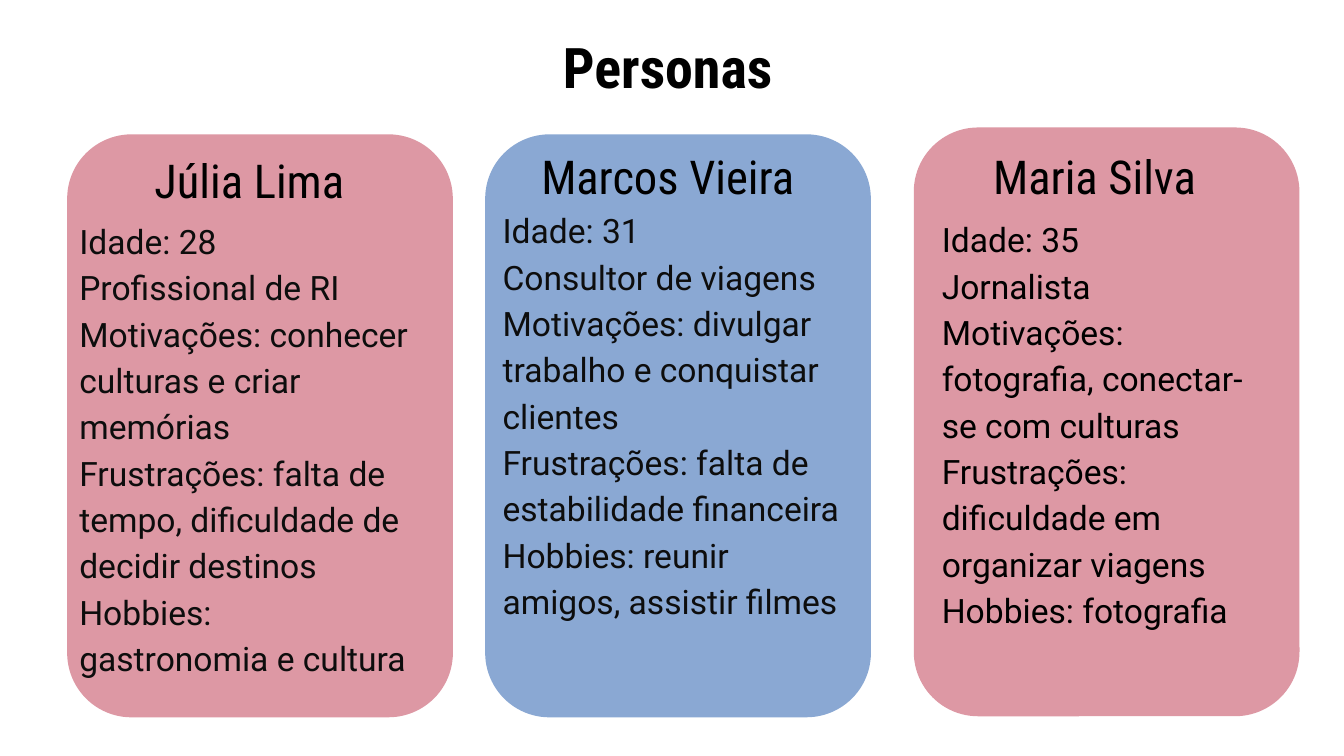
"""Build the slide that introduces three personas."""
from dataclasses import dataclass

from pptx import Presentation
from pptx.dml.color import RGBColor
from pptx.enum.shapes import MSO_SHAPE
from pptx.enum.text import MSO_ANCHOR, PP_ALIGN
from pptx.slide import Slide
from pptx.util import Cm, Pt

COLOURS = {"black": "000000", "ink": "0D0D0D", "rose": "DD98A4", "blue": "8AA8D3"}
HEADING_FONT = "Roboto Condensed"
BODY_FONT = "Roboto"
INSET = 0.25


@dataclass(frozen=True)
class Area:
    """Hold a place on the slide in centimetres."""
    left: float
    top: float
    width: float
    height: float

    def lengths(self) -> tuple[Cm, Cm, Cm, Cm]:
        """Return the place as slide lengths."""
        return Cm(self.left), Cm(self.top), Cm(self.width), Cm(self.height)


@dataclass(frozen=True)
class Persona:
    """Describe one card with its name and its facts."""
    name: str
    facts: tuple[str, ...]
    fill: str
    ink: str
    card: Area
    name_area: Area
    facts_area: Area
    indent: float


PERSONAS = (
    Persona(
        "Júlia Lima",
        ("Idade: 28", "Profissional de RI",
         "Motivações: conhecer culturas e criar memórias",
         "Frustrações: falta de tempo, dificuldade de decidir destinos",
         "Hobbies: gastronomia e cultura"),
        "rose", "ink", Area(1.27, 2.54, 7.29, 11.02),
        Area(2.67, 2.62, 4.88, 1.57), Area(0, 3.81, 7.98, 9.88), 1.5,
    ),
    Persona(
        "Marcos Vieira",
        ("Idade: 31", "Consultor de viagens",
         "Motivações: divulgar trabalho e conquistar clientes",
         "Frustrações: falta de estabilidade financeira",
         "Hobbies: reunir amigos, assistir filmes"),
        "blue", "ink", Area(9.17, 2.54, 7.29, 11.02),
        Area(9.98, 2.54, 6.07, 1.57), Area(7.98, 3.61, 8.31, 9.25), 1.52,
    ),
    Persona(
        "Maria Silva",
        ("Idade: 35", "Jornalista",
         "Motivações: fotografia, conectar-se com culturas",
         "Frustrações: dificuldade em organizar viagens",
         "Hobbies: fotografia"),
        "rose", "black", Area(17.27, 2.41, 7.29, 11.13),
        Area(18.52, 2.54, 5.61, 1.57), Area(15.01, 3.78, 9.35, 9.96), 2.79,
    ),
)


def add_text(page: Slide, lines: tuple[str, ...], area: Area, *, size: float,
             font: str = HEADING_FONT, colour: str = "black", bold: bool = False,
             align: PP_ALIGN = PP_ALIGN.LEFT, anchor: MSO_ANCHOR = MSO_ANCHOR.TOP,
             spacing: float = 1.0, indent: float = INSET) -> None:
    """Add a text box with one paragraph per line."""
    box = page.shapes.add_textbox(*area.lengths())
    frame = box.text_frame
    frame.word_wrap = True
    frame.vertical_anchor = anchor
    frame.margin_left = Cm(indent)
    frame.margin_right = frame.margin_top = frame.margin_bottom = Cm(INSET)
    for index, line in enumerate(lines):
        para = frame.add_paragraph() if index else frame.paragraphs[0]
        para.alignment = align
        para.line_spacing = spacing
        span = para.add_run()
        span.text = line
        span.font.name = font
        span.font.size = Pt(size)
        span.font.bold = bold
        span.font.color.rgb = RGBColor.from_string(COLOURS[colour])


def add_persona(page: Slide, persona: Persona) -> None:
    """Draw the card, the name and the facts of a persona."""
    card = page.shapes.add_shape(MSO_SHAPE.ROUNDED_RECTANGLE, *persona.card.lengths())
    card.adjustments[0] = 0.167
    card.shadow.inherit = False
    card.fill.solid()
    card.fill.fore_color.rgb = RGBColor.from_string(COLOURS[persona.fill])
    card.line.fill.background()
    add_text(page, (persona.name,), persona.name_area, size=25)
    add_text(page, persona.facts, persona.facts_area, size=18, font=BODY_FONT,
             colour=persona.ink, spacing=1.15, indent=persona.indent)


def main() -> None:
    """Create and save the deck."""
    deck = Presentation()
    deck.slide_width, deck.slide_height = Cm(25.4), Cm(14.29)
    page = deck.slides.add_slide(deck.slide_layouts[6])
    add_text(page, ("Personas",), Area(1.19, 0.69, 22.86, 1.45), size=30, bold=True,
             align=PP_ALIGN.CENTER, anchor=MSO_ANCHOR.BOTTOM)
    for persona in PERSONAS:
        add_persona(page, persona)
    deck.save("out.pptx")


if __name__ == "__main__":
    main()
